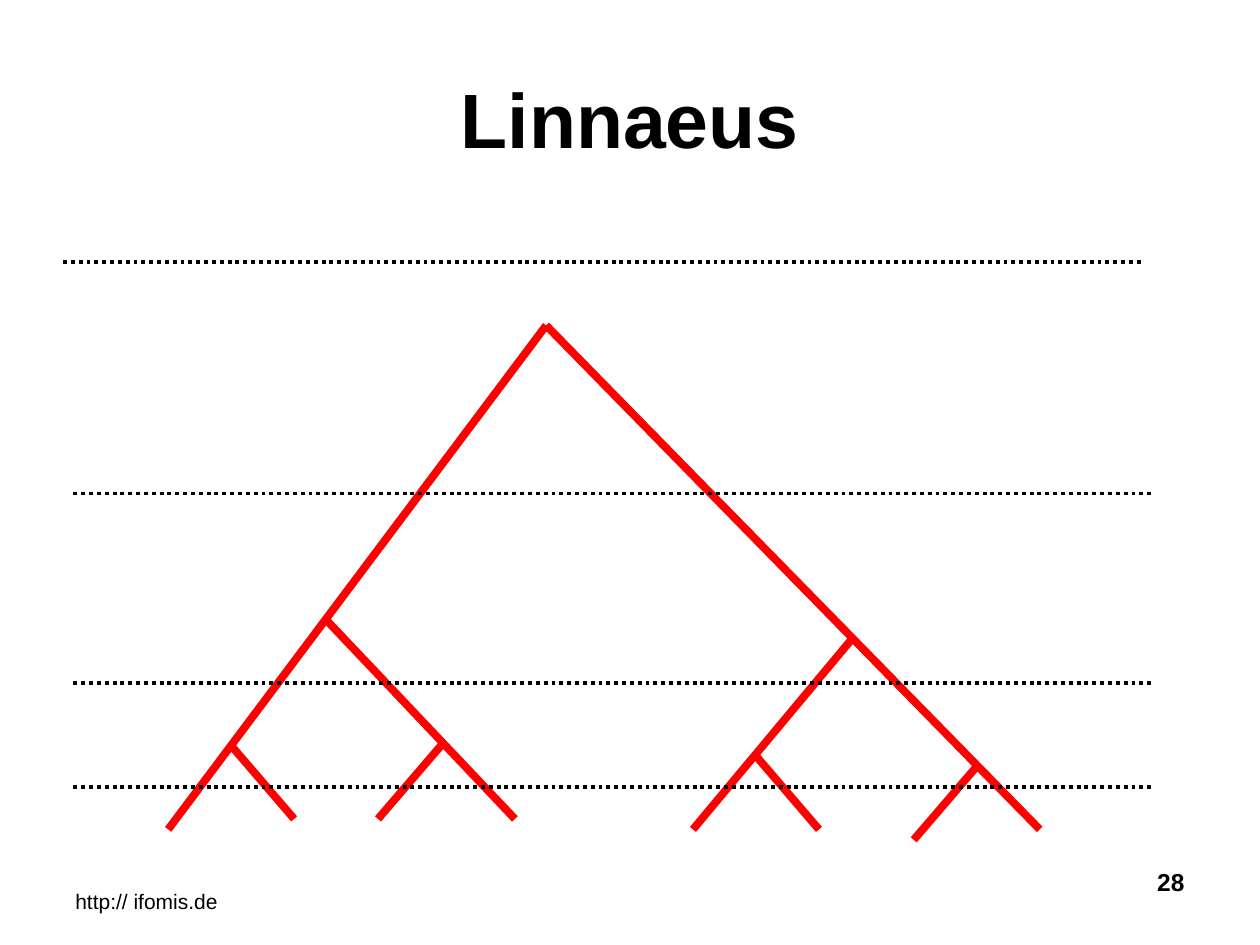
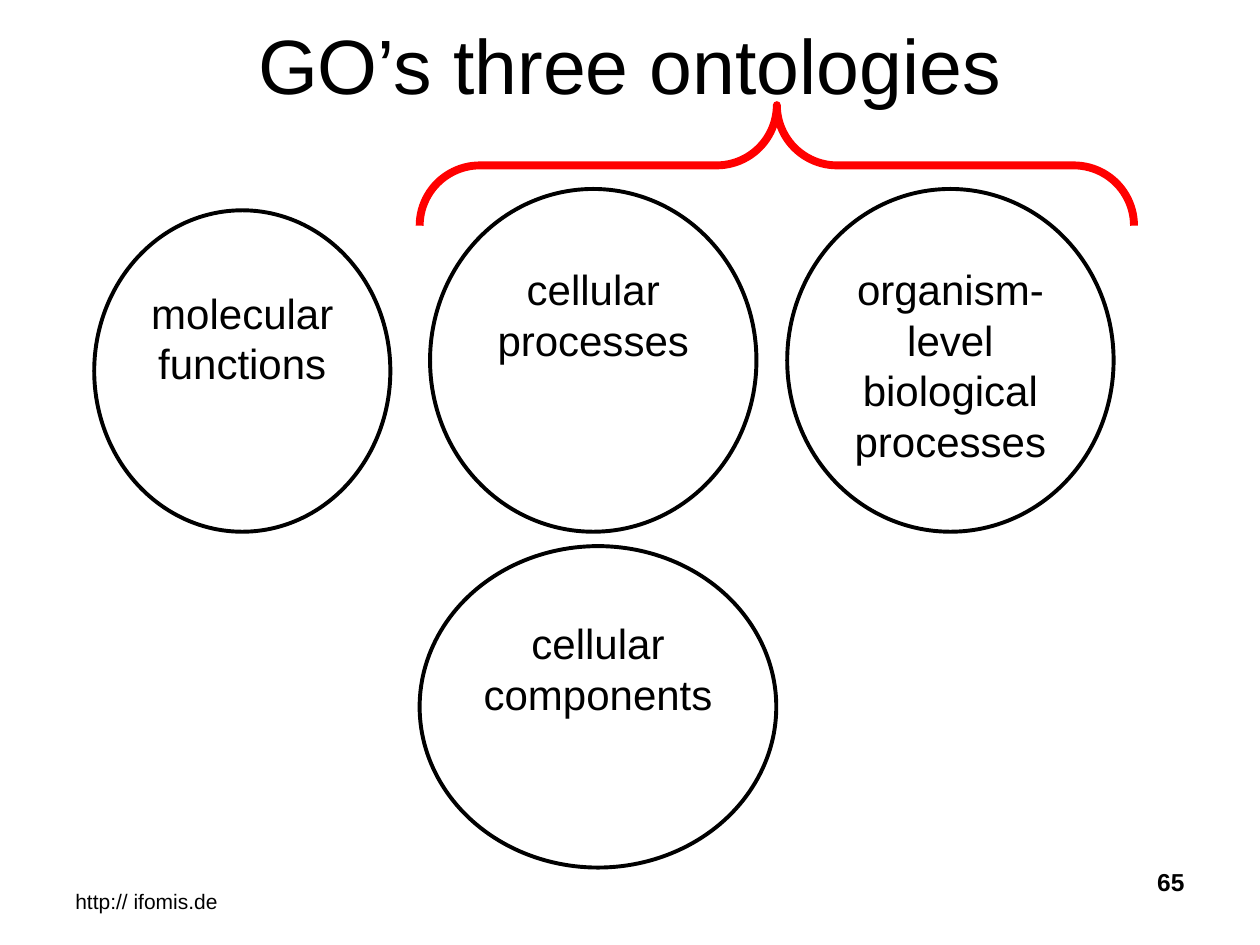
from dataclasses import dataclass

from lxml.etree import SubElement
from pptx import Presentation
from pptx.dml.color import RGBColor
from pptx.enum.dml import MSO_LINE
from pptx.enum.shapes import MSO_CONNECTOR, MSO_SHAPE
from pptx.enum.text import MSO_ANCHOR, MSO_AUTO_SIZE, PP_ALIGN
from pptx.oxml.ns import qn
from pptx.util import Cm, Pt


@dataclass(frozen=True)
class Theme:
    font: str = "Arial"
    ink: RGBColor = RGBColor(0, 0, 0)
    paper: RGBColor = RGBColor(255, 255, 255)
    accent: RGBColor = RGBColor(255, 0, 0)
    title_size: int = 44
    label_size: int = 24
    number_size: int = 14
    address_size: int = 12
    thin: float = 2.25
    thick: float = 4.5


@dataclass(frozen=True)
class Box:
    left: float
    top: float
    width: float
    height: float

    def inner(self, left, top, width, height):
        return Box(self.left + left, self.top + top, width, height)

    def lengths(self):
        return Cm(self.left), Cm(self.top), Cm(self.width), Cm(self.height)


THEME = Theme()
ADDRESS_BOX = Box(1.27, 17.78, 15.44, 0.89)
NUMBER_BOX = Box(18.21, 17.35, 5.92, 1.32)


def write(frame, lines, size, bold=False, align=PP_ALIGN.CENTER,
          anchor=MSO_ANCHOR.TOP, side=0.25, above=0.13):
    frame.word_wrap = True
    frame.auto_size = MSO_AUTO_SIZE.NONE
    frame.vertical_anchor = anchor
    frame.margin_left = frame.margin_right = Cm(side)
    frame.margin_top, frame.margin_bottom = Cm(above), Cm(0.1)
    for index, line in enumerate(lines):
        paragraph = frame.add_paragraph() if index else frame.paragraphs[0]
        paragraph.alignment = align
        run = paragraph.add_run()
        run.text = line
        run.font.name = THEME.font
        run.font.size = Pt(size)
        run.font.bold = bold
        run.font.color.rgb = THEME.ink


def draw_line(shapes, box, start, end, color, weight, dash=None):
    ends = [Cm(length) for x, y in (start, end)
            for length in (box.left + x, box.top + y)]
    connector = shapes.add_connector(MSO_CONNECTOR.STRAIGHT, *ends)
    connector.line.color.rgb = color
    connector.line.width = Pt(weight)
    if dash:
        connector.line.dash_style = dash
    SubElement(connector._element.spPr, qn("a:effectLst"))


def draw_preset(slide, preset, box, color, weight):
    shape = slide.shapes.add_shape(preset, *box.lengths())
    shape.shadow.inherit = False
    shape.line.color.rgb = color
    shape.line.width = Pt(weight)
    return shape


def add_titled_slide(deck, heading, heading_box, number, bold=False):
    slide = deck.slides.add_slide(deck.slide_layouts[5])
    title = slide.shapes.title
    title.left, title.top, title.width, title.height = heading_box.lengths()
    write(title.text_frame, [heading], THEME.title_size, bold=bold,
          anchor=MSO_ANCHOR.MIDDLE)
    address = slide.shapes.add_textbox(*ADDRESS_BOX.lengths())
    write(address.text_frame, ["http:// ifomis.de"], THEME.address_size,
          align=PP_ALIGN.LEFT)
    page = slide.shapes.add_textbox(*NUMBER_BOX.lengths())
    write(page.text_frame, [str(number)], THEME.number_size, bold=True,
          align=PP_ALIGN.RIGHT)
    return slide


def draw_tree(slide, box):
    root, floor = (7.62, 0), box.height
    branches = [
        (root, (box.width, floor)),
        (root, (0, floor)),
        ((3.18, 5.93), (6.99, 9.95)),
        ((13.76, 6.35), (10.58, floor)),
        ((1.27, 8.47), (2.54, 9.95)),
        ((5.5, 8.47), (4.23, 9.95)),
        ((11.85, 8.68), (13.12, floor)),
        ((16.3, 8.89), (15.03, 10.37)),
    ]
    tree = slide.shapes.add_group_shape()
    for start, end in branches:
        draw_line(tree.shapes, box, start, end, THEME.accent, THEME.thick)


def draw_ranks(slide, box):
    for indent, height in ((0, 0), (0.21, 4.66), (0.21, 8.47), (0.21, 10.58)):
        draw_line(slide.shapes, box, (indent, height),
                  (indent + box.width, height),
                  THEME.ink, THEME.thin, MSO_LINE.ROUND_DOT)


def draw_circle(slide, box, lines, above=0.5):
    circle = draw_preset(slide, MSO_SHAPE.OVAL, box, THEME.ink, THEME.thin)
    circle.fill.solid()
    circle.fill.fore_color.rgb = THEME.paper
    write(circle.text_frame, lines, THEME.label_size, side=0.22, above=above)


def draw_brace(slide, box):
    upright = box.inner((box.width - box.height) / 2,
                        (box.height - box.width) / 2, box.height, box.width)
    brace = draw_preset(slide, MSO_SHAPE.LEFT_BRACE, upright,
                        THEME.accent, THEME.thick)
    brace.fill.background()
    brace.rotation = 90
    brace.adjustments[0] = brace.adjustments[1] = 0.5


def draw_ontologies(slide, box):
    process_top, process_size = 1.69, (6.58, 6.91)
    draw_circle(slide, box.inner(0, 2.12, 5.97, 6.48),
                ["molecular functions"], above=0.6)
    draw_circle(slide, box.inner(6.56, 8.89, 7.19, 6.48),
                ["cellular components"])
    for left, lines in (
        (13.97, ["organism-level", "biological processes"]),
        (6.77, ["cellular", "processes"]),
    ):
        draw_circle(slide, box.inner(left, process_top, *process_size), lines)
    draw_brace(slide, box.inner(6.56, 0, 14.4, 2.43))


def main():
    deck = Presentation()
    deck.slide_width, deck.slide_height = Cm(25.4), Cm(19.05)

    linnaeus = add_titled_slide(deck, "Linnaeus", Box(1.27, 0.76, 22.86, 3.18),
                                28, bold=True)
    draw_tree(linnaeus, Box(3.39, 6.56, 17.57, 10.16))
    draw_ranks(linnaeus, Box(1.27, 5.29, 21.8, 10.58))

    ontologies = add_titled_slide(deck, "GO’s three ontologies",
                                  Box(1.27, 0, 22.86, 2.54), 65)
    draw_ontologies(ontologies, Box(1.9, 2.12, 20.96, 15.37))

    deck.save("out.pptx")


if __name__ == "__main__":
    main()
